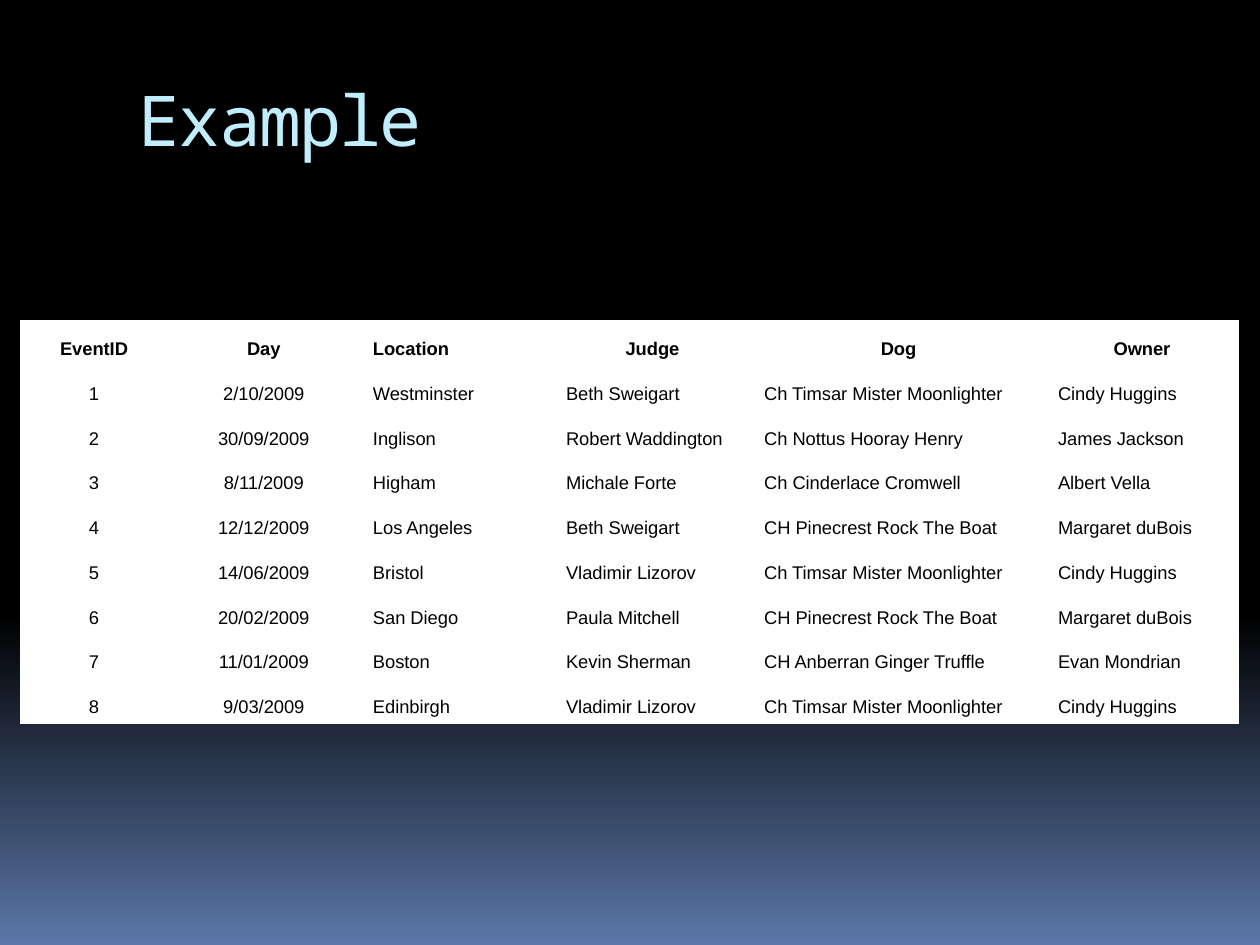
from pptx import Presentation
from pptx.dml.color import RGBColor
from pptx.enum.shapes import MSO_SHAPE
from pptx.enum.text import MSO_ANCHOR, PP_ALIGN
from pptx.util import Cm, Pt

RECTANGLE = MSO_SHAPE.RECTANGLE
TOP, BOTTOM = MSO_ANCHOR.TOP, MSO_ANCHOR.BOTTOM
LEFT, CENTER = PP_ALIGN.LEFT, PP_ALIGN.CENTER
TITLE_ONLY = 5

COLORS = {"night": "000000", "dusk": "5B77A8", "title": "C1EEFF",
          "cell": "FFFFFF", "text": "000000"}

# Offset and width of each accent bar, in centimetres
ACCENT_BARS = [(0.25, 0.13), (0.13, 0.08), (0.08, 0.03), (0, 0.03)]

COLUMN_WIDTHS = [2.95, 3.89, 3.89, 3.99, 5.92, 3.89]
HEADER_ALIGNS = [CENTER, CENTER, LEFT, CENTER, CENTER, CENTER]
BODY_ALIGNS = [CENTER, CENTER, LEFT, LEFT, LEFT, LEFT]
EVENTS = [
    ["EventID", "Day", "Location", "Judge", "Dog", "Owner"],
    ["1", "2/10/2009", "Westminster", "Beth Sweigart",
     "Ch Timsar Mister Moonlighter", "Cindy Huggins"],
    ["2", "30/09/2009", "Inglison", "Robert Waddington",
     "Ch Nottus Hooray Henry", "James Jackson"],
    ["3", "8/11/2009", "Higham", "Michale Forte",
     "Ch Cinderlace Cromwell", "Albert Vella"],
    ["4", "12/12/2009", "Los Angeles", "Beth Sweigart",
     "CH Pinecrest Rock The Boat", "Margaret duBois"],
    ["5", "14/06/2009", "Bristol", "Vladimir Lizorov",
     "Ch Timsar Mister Moonlighter", "Cindy Huggins"],
    ["6", "20/02/2009", "San Diego", "Paula Mitchell",
     "CH Pinecrest Rock The Boat", "Margaret duBois"],
    ["7", "11/01/2009", "Boston", "Kevin Sherman",
     "CH Anberran Ginger Truffle", "Evan Mondrian"],
    ["8", "9/03/2009", "Edinbirgh", "Vladimir Lizorov",
     "Ch Timsar Mister Moonlighter", "Cindy Huggins"],
]


def color(name):
    return RGBColor.from_string(COLORS[name])


def set_font(font, name, size, color_name, bold=False):
    font.name, font.size, font.bold = name, Pt(size), bold
    font.color.rgb = color(color_name)


def paint_background(page):
    fill = page.background.fill
    fill.gradient()
    fill.gradient_angle = 270
    for stop, position, name in zip(fill.gradient_stops, (0.65, 1), ("night", "dusk")):
        stop.position = position
        stop.color.rgb = color(name)


def place_accent_bars(page, left, top, height):
    for offset, width in ACCENT_BARS:
        bar = page.shapes.add_shape(RECTANGLE, left + Cm(offset), top, Cm(width), height)
        bar.shadow.inherit = False
        bar.fill.solid()
        bar.fill.fore_color.rgb = color("night")
        bar.line.fill.background()


def place_title(page, text, left, top, width, height):
    title = page.shapes.title
    title.left, title.top, title.width, title.height = left, top, width, height
    frame = title.text_frame
    frame.text = text
    frame.word_wrap = True
    frame.vertical_anchor = TOP
    para = frame.paragraphs[0]
    para.alignment = LEFT
    set_font(para.font, "Noto Sans Mono", 40, "title")
    # Letters set one point tighter
    para.runs[0].font._element.set("spc", "-100")


def place_events(page, left, top, width, height):
    table = page.shapes.add_table(len(EVENTS), len(COLUMN_WIDTHS),
                                  left, top, width, height).table
    table.horz_banding = False
    for column, share in zip(table.columns, COLUMN_WIDTHS):
        column.width = int(width * share / sum(COLUMN_WIDTHS))
    for row_index, values in enumerate(EVENTS):
        is_header = row_index == 0
        aligns = HEADER_ALIGNS if is_header else BODY_ALIGNS
        for column_index, value in enumerate(values):
            cell = table.cell(row_index, column_index)
            cell.text = value
            cell.vertical_anchor = BOTTOM
            cell.fill.solid()
            cell.fill.fore_color.rgb = color("cell")
            para = cell.text_frame.paragraphs[0]
            para.alignment = aligns[column_index]
            set_font(para.font, "Arial", 10.5, "text", is_header)


deck = Presentation()
deck.slide_width, deck.slide_height = Cm(25.4), Cm(19.05)
page = deck.slides.add_slide(deck.slide_layouts[TITLE_ONLY])
paint_background(page)
place_accent_bars(page, Cm(0.61), Cm(1.88), Cm(1.02))
place_title(page, "Example", Cm(2.54), Cm(1.42), Cm(21.59), Cm(2.54))
place_events(page, Cm(0.42), Cm(6.47), Cm(24.55), Cm(8.12))
deck.save("out.pptx")
